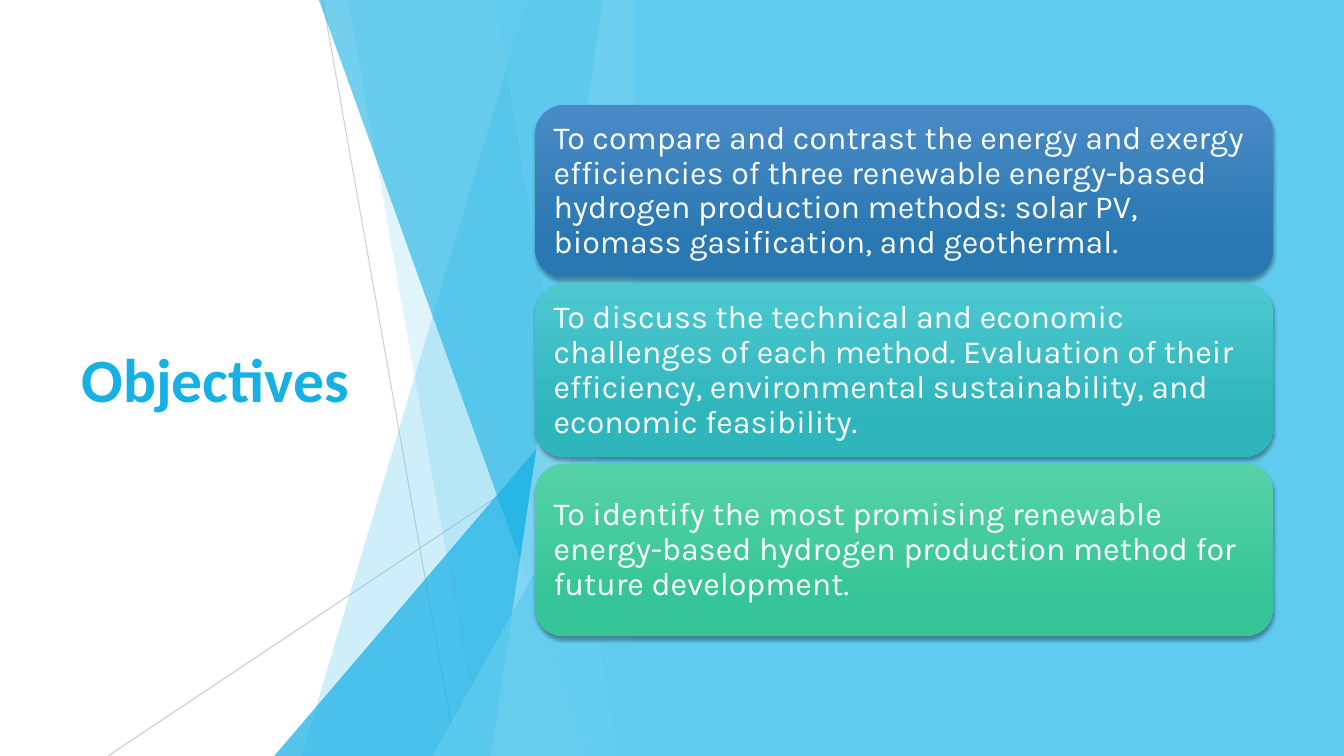
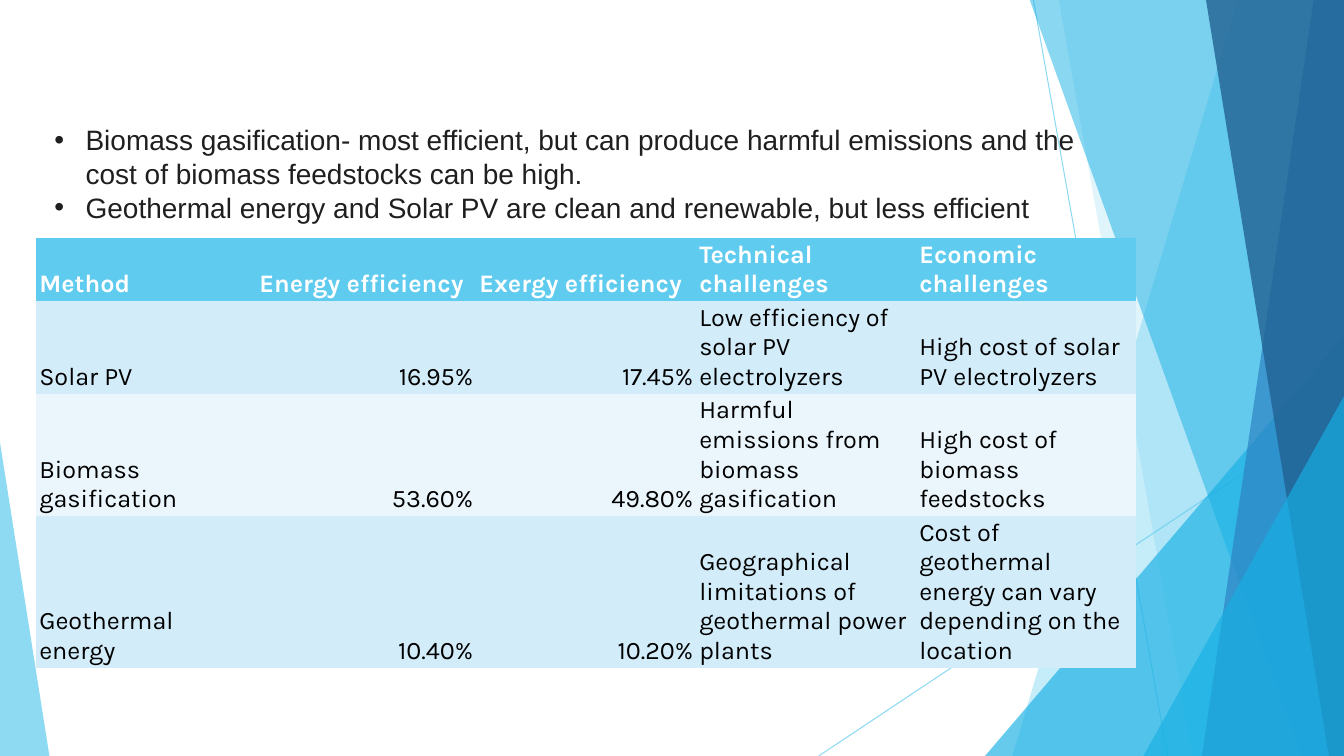
from dataclasses import dataclass

from lxml import etree
from pptx import Presentation
from pptx import util as u
from pptx.dml.color import RGBColor
from pptx.enum import shapes, text
from pptx.oxml.ns import qn

EMU_PER_PX = 9144  # 100 px to the inch
PAGE_WIDTH, PAGE_HEIGHT = 1333, 750

COLORS = {
    "white": "FFFFFF",
    "black": "000000",
    "ink": "1F1F1F",
    "grey": "BFBFBF",
    "sky": "5FCBEF",
    "pale_sky": "9FE0F5",
    "cyan": "17B0E4",
    "blue": "2E83C3",
    "navy": "226292",
    "row_dark": "D2ECF9",
    "row_light": "EAF6FC",
}


@dataclass(frozen=True)
class Tint:
    color: str
    opacity: int


@dataclass(frozen=True)
class Facet:
    """Piece of the band; measured from the band's right edge."""
    top: int
    bottom: int


@dataclass(frozen=True)
class Corner:
    """Right triangle standing in the band's lower right corner."""
    width: int
    height: int


@dataclass(frozen=True)
class Card:
    words: str
    light: str
    deep: str


@dataclass(frozen=True)
class Style:
    font: str
    size: int
    color: str
    bold: bool = False


BAND_LINES = [((308, 0), (175, 750)), ((0, 403), (521, 750))]
BAND_PIECES = [
    Facet(105, 329), Facet(283, 150), Corner(356, 417), Facet(312, 42),
    Facet(30, 141), Facet(137, 15), Corner(199, 357),
]
SPLIT_LINE_TINTS = [Tint("grey", 75), Tint("grey", 80)]
SPLIT_TINTS = [
    Tint("sky", 30), Tint("sky", 20), Tint("cyan", 72), Tint("cyan", 60),
    Tint("pale_sky", 70), Tint("sky", 65), Tint("sky", 80),
]
EDGE_LINE_TINTS = [Tint("sky", 70)] * 2
EDGE_TINTS = [
    Tint("sky", 36), Tint("sky", 20), Tint("cyan", 66), Tint("cyan", 50),
    Tint("blue", 70), Tint("navy", 80), Tint("cyan", 66),
]

TITLE = Style("Calibri", 44, "cyan", True)
CARD_TEXT = Style("Karla", 23, "white")
BULLET_TEXT = Style("Arial", 20, "ink")
HEADER_CELL = Style("Karla", 18, "white", True)
BODY_CELL = Style("Karla", 18, "black")

CARDS = [
    Card("To compare and contrast the energy and exergy efficiencies of three renewable "
         "energy-based hydrogen production methods: solar PV, biomass gasification, and "
         "geothermal.", "4A8BC6", "2A78B2"),
    Card("To discuss the technical and economic challenges of each method. Evaluation of "
         "their efficiency, environmental sustainability, and economic feasibility.",
         "4DC8D0", "2FB5BC"),
    Card("To identify the most promising renewable energy-based hydrogen production method "
         "for future development.", "56D2A7", "36C596"),
]
BULLETS = [
    "Biomass gasification- most efficient, but can produce harmful emissions and the cost "
    "of biomass feedstocks can be high.",
    "Geothermal energy and Solar PV are clean and renewable, but less efficient",
]
METHODS = [
    ("Method", "Energy efficiency", "Exergy efficiency", "Technical challenges",
     "Economic challenges"),
    ("Solar PV", "16.95%", "17.45%", "Low efficiency of solar PV electrolyzers",
     "High cost of solar PV electrolyzers"),
    ("Biomass gasification", "53.60%", "49.80%",
     "Harmful emissions from biomass gasification", "High cost of biomass feedstocks"),
    ("Geothermal energy", "10.40%", "10.20%",
     "Geographical limitations of geothermal power plants",
     "Cost of geothermal energy can vary depending on the location"),
]
NO_TABLE_STYLE = "{2D5ABB26-0587-4C30-8999-92F81FD0307C}"


def px(*lengths: int) -> list[u.Emu]:
    return [u.Emu(length * EMU_PER_PX) for length in lengths]


def rgb(name: str) -> RGBColor:
    return RGBColor.from_string(COLORS[name])


def set_opacity(element, percent: int) -> None:
    color = next(element.iter(qn("a:srgbClr")))
    etree.SubElement(color, qn("a:alpha"), val=str(percent * 1000))


def paint(shape, tint: Tint) -> None:
    """Give a shape a flat fill, without line or shadow."""
    shape.shadow.inherit = False
    shape.line.fill.background()
    shape.fill.solid()
    shape.fill.fore_color.rgb = rgb(tint.color)
    if tint.opacity < 100:
        set_opacity(shape.fill._xPr, tint.opacity)


def add_span(para, words: str, style: Style) -> None:
    span = para.add_run()
    span.text = words
    span.font.name = style.font
    span.font.size = u.Pt(style.size)
    span.font.bold = style.bold
    span.font.color.rgb = rgb(style.color)


def add_triangle(page, left: int, top: int, width: int, height: int, apex: int,
                 tint: Tint) -> None:
    shape = page.shapes.add_shape(shapes.MSO_SHAPE.ISOSCELES_TRIANGLE,
                                  *px(left, top, width, height))
    shape.adjustments[0] = apex
    paint(shape, tint)


def add_band(page, right: int, line_tints: list[Tint], tints: list[Tint]) -> None:
    """Draw the overlapping facets that end at the given right edge."""
    for ((x1, y1), (x2, y2)), tint in zip(BAND_LINES, line_tints):
        line = page.shapes.add_connector(shapes.MSO_CONNECTOR.STRAIGHT,
                                         *px(right - x1, y1, right - x2, y2))
        line.line.width = u.Pt(0.75)
        line.line.color.rgb = rgb(tint.color)
        properties = line._element.spPr
        set_opacity(properties, tint.opacity)
        etree.SubElement(properties, qn("a:effectLst"))
    for piece, tint in zip(BAND_PIECES, tints):
        if isinstance(piece, Corner):
            add_triangle(page, right - piece.width, PAGE_HEIGHT - piece.height,
                         piece.width, piece.height, 1, tint)
            continue
        outline = page.shapes.build_freeform(right - piece.top, -1, scale=EMU_PER_PX)
        outline.add_line_segments([(right, -1), (right, PAGE_HEIGHT),
                                   (right - piece.bottom, PAGE_HEIGHT)])
        paint(outline.convert_to_shape(), tint)


def add_card(page, card: Card, top: int) -> None:
    box = page.shapes.add_shape(shapes.MSO_SHAPE.ROUNDED_RECTANGLE, *px(531, top, 732, 171))
    box.line.fill.background()
    box.fill.gradient()
    box.fill.gradient_angle = 270
    for stop, color, position in zip(box.fill.gradient_stops, (card.light, card.deep),
                                     (0, 0.78)):
        stop.color.rgb = RGBColor.from_string(color)
        stop.position = position
    box.shadow.inherit = False
    effects = box._element.spPr.find(qn("a:effectLst"))
    shadow = etree.SubElement(effects, qn("a:outerShdw"), blurRad=str(u.Pt(3)),
                              dist=str(u.Pt(2)), dir="5400000", rotWithShape="0")
    etree.SubElement(shadow, qn("a:srgbClr"), val=COLORS["black"])
    set_opacity(shadow, 35)

    frame = box.text_frame
    frame.word_wrap = True
    frame.vertical_anchor = text.MSO_ANCHOR.MIDDLE
    frame.margin_left, frame.margin_right = px(10, 9)
    para = frame.paragraphs[0]
    para.alignment = text.PP_ALIGN.LEFT
    para.line_spacing = 0.9
    add_span(para, card.words, CARD_TEXT)


def add_bullets(page) -> None:
    frame = page.shapes.add_textbox(*px(44, 117, 1075, 141)).text_frame
    frame.word_wrap = True
    for index, words in enumerate(BULLETS):
        para = frame.add_paragraph() if index else frame.paragraphs[0]
        properties = para._p.get_or_add_pPr()
        indent = 31 * EMU_PER_PX
        properties.set("marL", str(indent))
        properties.set("indent", str(-indent))
        etree.SubElement(properties, qn("a:buFont"), typeface="Arial")
        etree.SubElement(properties, qn("a:buChar"), char="•")
        add_span(para, words, BULLET_TEXT)


def add_method_table(page) -> None:
    holder = page.shapes.add_table(len(METHODS), len(METHODS[0]), *px(36, 236, 1091, 88))
    next(holder._element.iter(qn("a:tableStyleId"))).text = NO_TABLE_STYLE
    for row, values in enumerate(METHODS):
        fill = "sky" if row == 0 else "row_dark" if row % 2 else "row_light"
        for column, value in enumerate(values):
            cell = holder.table.cell(row, column)
            cell.fill.solid()
            cell.fill.fore_color.rgb = rgb(fill)
            cell.vertical_anchor = text.MSO_ANCHOR.BOTTOM
            cell.margin_left, cell.margin_right = px(3, 3)
            cell.margin_top, cell.margin_bottom = px(2, 2)
            para = cell.text_frame.paragraphs[0]
            if value.endswith("%"):
                para.alignment = text.PP_ALIGN.RIGHT
            add_span(para, value, BODY_CELL if row else HEADER_CELL)


def build_objectives(page) -> None:
    split = 628
    add_band(page, split, SPLIT_LINE_TINTS, SPLIT_TINTS)
    frame = page.shapes.add_textbox(*px(71, 151, 388, 448)).text_frame
    frame.word_wrap = True
    frame.vertical_anchor = text.MSO_ANCHOR.MIDDLE
    add_span(frame.paragraphs[0], "Objectives", TITLE)
    panel = page.shapes.add_shape(shapes.MSO_SHAPE.RECTANGLE,
                                  *px(split, 0, PAGE_WIDTH - split, PAGE_HEIGHT))
    paint(panel, Tint("sky", 100))
    for index, card in enumerate(CARDS):
        add_card(page, card, 104 + index * 178)


def build_comparison(page) -> None:
    add_band(page, PAGE_WIDTH, EDGE_LINE_TINTS, EDGE_TINTS)
    add_triangle(page, 0, 439, 49, 311, 0, Tint("sky", 70))
    add_method_table(page)
    add_bullets(page)


def main() -> None:
    deck = Presentation()
    deck.slide_width, deck.slide_height = px(PAGE_WIDTH, PAGE_HEIGHT)
    for build in (build_objectives, build_comparison):
        build(deck.slides.add_slide(deck.slide_layouts[6]))
    deck.save("out.pptx")


if __name__ == "__main__":
    main()
